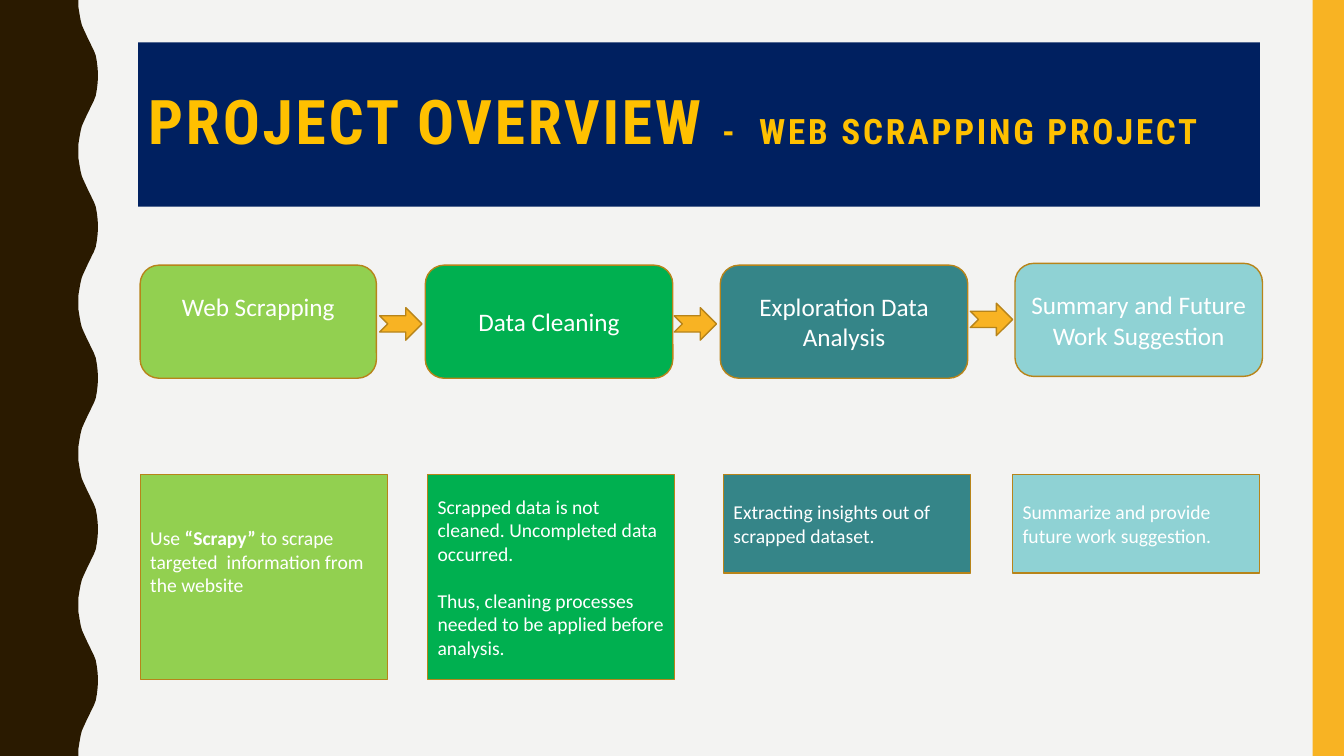
"""Build the project overview slide: four stages and a note under each."""
from pptx import Presentation
from pptx.dml.color import RGBColor
from pptx.enum.shapes import MSO_SHAPE
from pptx.enum.text import MSO_ANCHOR, MSO_AUTO_SIZE, PP_ALIGN
from pptx.util import Pt

CREAM = RGBColor(0xF3, 0xF3, 0xF2)
BROWN = RGBColor(0x2A, 0x1A, 0x00)
AMBER = RGBColor(0xF8, 0xB3, 0x23)
BRONZE = RGBColor(0xB7, 0x84, 0x1A)
NAVY = RGBColor(0x00, 0x20, 0x60)
GOLD = RGBColor(0xFF, 0xC0, 0x00)
WHITE = RGBColor(0xFF, 0xFF, 0xFF)
LIME = RGBColor(0x92, 0xD0, 0x50)
GREEN = RGBColor(0x00, 0xB0, 0x50)
TEAL = RGBColor(0x35, 0x85, 0x88)
AQUA = RGBColor(0x8F, 0xD2, 0xD4)

SLIDE_WIDTH, SLIDE_HEIGHT = 960, 540
WAVE_PERIOD = 108
WAVE_RISE = [
    (56, 0), (56, 5), (56.8, 10), (57.6, 14.4), (58.5, 18),
    (59.8, 21), (61.2, 24), (62.6, 27), (64.1, 30), (65.5, 33),
    (67, 36), (68.4, 39.6), (69.2, 44), (69.8, 49), (70, 54),
]
STAGE_HEIGHT, NOTE_TOP, NOTE_WIDTH = 80.8, 339, 176.4
ARROW_WIDTH, ARROW_HEIGHT = 30.2, 23.2
EMPTY_LINE = 22

STAGES = [
    ("Web Scrapping", LIME, 100.1, 189.4, 168.8, EMPTY_LINE),
    ("Data Cleaning", GREEN, 303.8, 189.4, 176.8, 0),
    ("Exploration Data Analysis", TEAL, 514.5, 189.4, 176.8, 0),
    ("Summary and Future Work Suggestion", AQUA, 725, 188.1, 176.8, 0),
]
ARROWS = [(271.2, 219.8), (481.6, 219.8), (693.1, 216.6)]
NOTES = [
    ([[("Use ", False), ("“Scrapy” ", True),
       ("to scrape targeted  information from the website", False)]],
     LIME, 100.2, 146.2, EMPTY_LINE),
    ([[("Scrapped data is not cleaned. Uncompleted data occurred.", False)],
      [("Thus, cleaning processes needed to be applied before analysis.", False)]],
     GREEN, 305.5, 146.2, 0),
    ([[("Extracting insights out of scrapped dataset.", False)]],
     TEAL, 516.8, 70.4, 0),
    ([[("Summarize and provide future work suggestion.", False)]],
     AQUA, 723.3, 70.4, 0),
]


def paint(shape, color, outline=None):
    """Fill a shape and give it a thin outline or none."""
    shape.shadow.inherit = False
    shape.fill.solid()
    shape.fill.fore_color.rgb = color
    if outline is None:
        shape.line.fill.background()
    else:
        shape.line.color.rgb = outline
        shape.line.width = Pt(1)


def style_run(run, size, color, font, bold=False):
    """Set the font of one run."""
    run.font.name = font
    run.font.size = Pt(size)
    run.font.bold = bold
    run.font.color.rgb = color


def add_block(slide, preset, left, top, width, height, color, outline=BRONZE):
    """Add a painted preset shape."""
    block = slide.shapes.add_shape(preset, Pt(left), Pt(top), Pt(width), Pt(height))
    paint(block, color, outline)
    return block


def write_block(block, paragraphs, size, align, extra_bottom):
    """Write paragraphs of (text, bold) runs, centred vertically."""
    frame = block.text_frame
    frame.word_wrap = True
    frame.vertical_anchor = MSO_ANCHOR.MIDDLE
    frame.margin_bottom = Pt(3.6 + extra_bottom)
    for index, pieces in enumerate(paragraphs):
        paragraph = frame.paragraphs[0] if index == 0 else frame.add_paragraph()
        paragraph.alignment = align
        if index:
            paragraph.space_before = Pt(17)
        for text, bold in pieces:
            run = paragraph.add_run()
            run.text = text
            style_run(run, size, WHITE, "Calibri", bold)


def add_wavy_edge(slide):
    """Draw the dark band with a wavy right side."""
    fall = [(x, WAVE_PERIOD - y) for x, y in reversed(WAVE_RISE[1:-1])]
    wave = [(x, y + period * WAVE_PERIOD)
            for period in range(SLIDE_HEIGHT // WAVE_PERIOD)
            for x, y in WAVE_RISE + fall]
    outline = wave + [(WAVE_RISE[0][0], SLIDE_HEIGHT), (0, SLIDE_HEIGHT)]
    builder = slide.shapes.build_freeform(0, 0)
    builder.add_line_segments([(Pt(x), Pt(y)) for x, y in outline], close=True)
    paint(builder.convert_to_shape(), BROWN)


def set_title(slide):
    """Place and format the title banner."""
    title = slide.shapes.title
    title.left, title.top = Pt(98.6), Pt(30.2)
    title.width, title.height = Pt(801.4), Pt(117.4)
    title.fill.solid()
    title.fill.fore_color.rgb = NAVY
    frame = title.text_frame
    frame.word_wrap = True
    frame.auto_size = MSO_AUTO_SIZE.NONE
    frame.vertical_anchor = MSO_ANCHOR.MIDDLE
    heading = frame.paragraphs[0]
    heading.alignment = PP_ALIGN.LEFT
    heading.line_spacing = 0.9
    for text, size in (("PROJECT OVERVIEW ", 44), ("-  WEB SCRAPPING PROJECT", 25)):
        run = heading.add_run()
        run.text = text
        style_run(run, size, GOLD, "Roboto Condensed", True)
        run.font._element.set("spc", "200")


def main():
    """Build and save the slide."""
    deck = Presentation()
    deck.slide_width, deck.slide_height = Pt(SLIDE_WIDTH), Pt(SLIDE_HEIGHT)
    slide = deck.slides.add_slide(deck.slide_layouts[5])
    slide.background.fill.solid()
    slide.background.fill.fore_color.rgb = CREAM
    add_wavy_edge(slide)
    add_block(slide, MSO_SHAPE.RECTANGLE, 937.6, 0, 22.4, SLIDE_HEIGHT, AMBER, None)
    set_title(slide)
    for name, color, left, top, width, extra in STAGES:
        stage = add_block(slide, MSO_SHAPE.ROUNDED_RECTANGLE,
                          left, top, width, STAGE_HEIGHT, color)
        write_block(stage, [[(name, False)]], 18, PP_ALIGN.CENTER, extra)
    for left, top in ARROWS:
        add_block(slide, MSO_SHAPE.NOTCHED_RIGHT_ARROW,
                  left, top, ARROW_WIDTH, ARROW_HEIGHT, AMBER)
    for paragraphs, color, left, height, extra in NOTES:
        note = add_block(slide, MSO_SHAPE.RECTANGLE,
                         left, NOTE_TOP, NOTE_WIDTH, height, color)
        write_block(note, paragraphs, 14, PP_ALIGN.LEFT, extra)
    deck.save("out.pptx")


if __name__ == "__main__":
    main()
